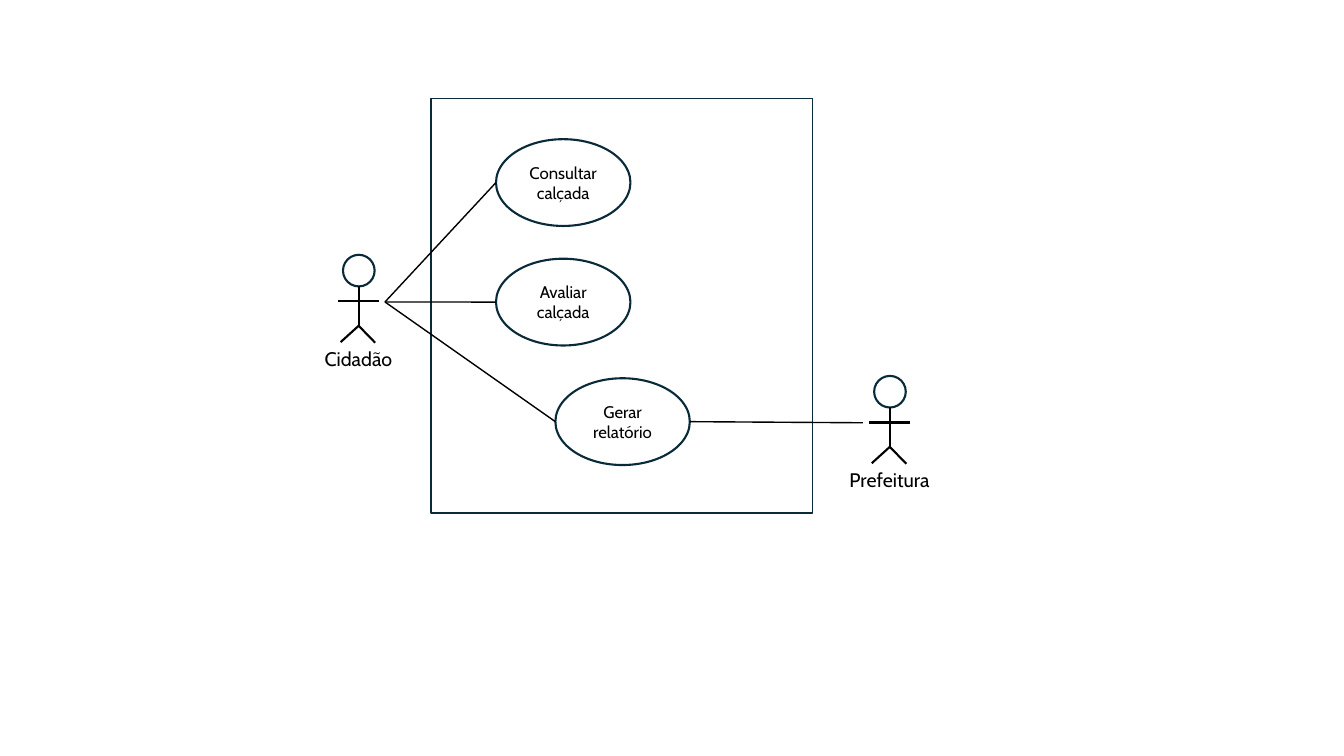
from lxml.etree import SubElement
from pptx import Presentation
from pptx.dml.color import RGBColor
from pptx.enum.shapes import MSO_CONNECTOR, MSO_SHAPE
from pptx.enum.text import MSO_ANCHOR, PP_ALIGN
from pptx.oxml.ns import qn
from pptx.util import Pt

NAVY, BLACK, WHITE = "092A39", "000000", "FFFFFF"


def add_outline(shapes, kind, box, color, width, text="", size=12):
    shape = shapes.add_shape(kind, *[Pt(length) for length in box])
    shape.shadow.inherit = False
    shape.fill.background()
    if color:
        shape.line.color.rgb = RGBColor.from_string(color)
        shape.line.width = Pt(width)
    else:
        shape.line.fill.background()
    if text:
        frame = shape.text_frame
        frame.text = text
        frame.word_wrap = True
        frame.vertical_anchor = MSO_ANCHOR.MIDDLE
        paragraph = frame.paragraphs[0]
        paragraph.alignment = PP_ALIGN.CENTER
        font = paragraph.runs[0].font
        font.name, font.size = "Cabin", Pt(size)
        font.color.rgb = RGBColor.from_string(BLACK)
    return shape


def add_line(shapes, start, end, width):
    ends = [Pt(length) for length in (*start, *end)]
    connector = shapes.add_connector(MSO_CONNECTOR.STRAIGHT, *ends)
    connector.line.color.rgb = RGBColor.from_string(BLACK)
    connector.line.width = Pt(width)
    SubElement(connector._element.spPr, qn("a:effectLst"))


presentation = Presentation()
presentation.slide_width, presentation.slide_height = Pt(960), Pt(540)
slide = presentation.slides.add_slide(presentation.slide_layouts[6])
shapes = slide.shapes

add_outline(shapes, MSO_SHAPE.RECTANGLE, (308, 70.5, 272.3, 296), NAVY, 1)

case_width, case_height = 96, 62
case_top, case_step = 99.4, 85.4
use_cases = [
    ("Consultar calçada", 354.3),
    ("Avaliar calçada", 354.3),
    ("Gerar relatório", 396.7),
]
case_ports = []
for row, (name, left) in enumerate(use_cases):
    top = case_top + row * case_step
    box = (left, top, case_width, case_height)
    add_outline(shapes, MSO_SHAPE.OVAL, box, NAVY, 1.5, name)
    case_ports.append((left, top + case_height / 2))

actor_width, actor_height = 38, 71
limbs = [
    ((19.2, 24.5), (19.2, 53)),
    ((19.2, 52.7), (6.3, 64.4)),
    ((19.2, 52.7), (31, 64.8)),
    ((33.8, 35.3), (4.3, 35.3)),
]
actors = [("Cidadão", 237, 180, 68.4), ("Prefeitura", 616.4, 266.5, 75.6)]
for name, left, top, label_width in actors:
    figure = shapes.add_group_shape()
    head = (left + 8, top + 2, 22.6, 22.6)
    add_outline(figure.shapes, MSO_SHAPE.OVAL, head, NAVY, 1.5)
    for (x1, y1), (x2, y2) in limbs:
        add_line(figure.shapes, (left + x1, top + y1), (left + x2, top + y2), 1.5)
    border = (left, top, actor_width, actor_height)
    add_outline(shapes, MSO_SHAPE.RECTANGLE, border, WHITE, 1.5)

    label_left = left + (actor_width - label_width) / 2
    label = shapes.add_textbox(Pt(label_left), Pt(top + 64.4), Pt(label_width), Pt(24.5))
    label.text_frame.text = name
    label.text_frame.word_wrap = True
    paragraph = label.text_frame.paragraphs[0]
    paragraph.alignment = PP_ALIGN.CENTER
    font = paragraph.runs[0].font
    font.name, font.size = "Cabin", Pt(14)
    font.color.rgb = RGBColor.from_string(BLACK)

citizen_port = (275, 215.7)
for port in case_ports:
    add_line(shapes, citizen_port, port, 1)
report_left, report_middle = case_ports[-1]
add_line(shapes, (report_left + case_width, report_middle), (616.4, 302), 1)

presentation.save("out.pptx")
